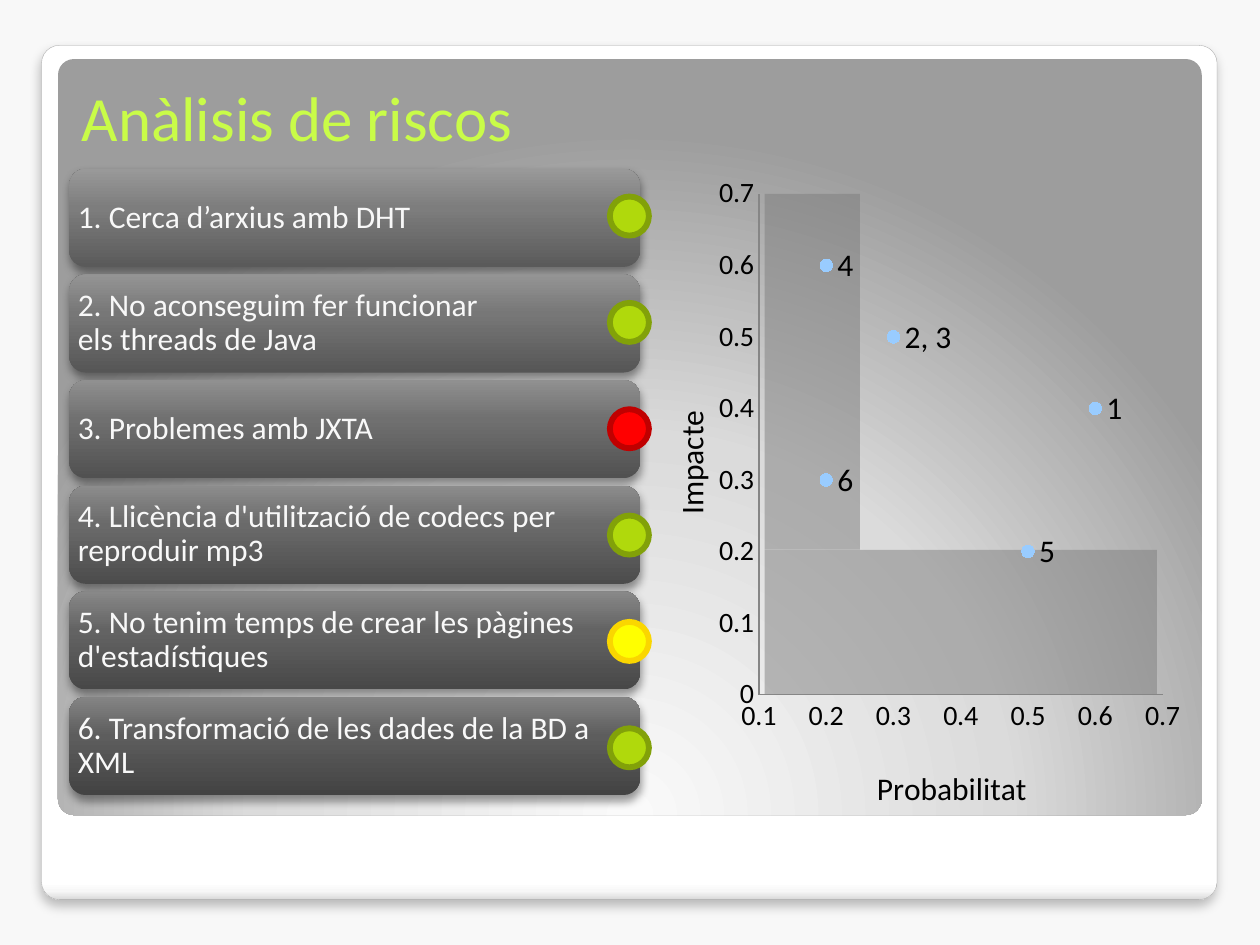
from lxml.etree import SubElement
from pptx import Presentation
from pptx.chart.data import XyChartData
from pptx.dml.color import RGBColor
from pptx.enum.chart import XL_CHART_TYPE, XL_LABEL_POSITION, XL_MARKER_STYLE, XL_TICK_MARK
from pptx.enum.shapes import MSO_SHAPE
from pptx.enum.text import MSO_ANCHOR, PP_ALIGN
from pptx.oxml import parse_xml
from pptx.oxml.ns import nsdecls, qn
from pptx.util import Inches, Pt

HUES = dict(back="F8F8F8", rim="A4A4A4", title="C9FC48", zone="7C7C7C", dot="99CCFF",
            axis="868686", ink="000000", text="F8F8F8")
LIGHTS = dict(green=("B0D90C", "82A109"), red=("FF0000", "C00000"), gold=("FFFF00", "FAD600"))
SHADES = ["5A5A5A 7D7D7D 999999", "565656 777777 949494", "515151 707070 909090",
          "4C4C4C 6A6A6A 8C8C8C", "484848 636363 888888", "434343 5D5D5D 848484"]
RISKS = [("1. Cerca d’arxius amb DHT", "green"),
         ("2. No aconseguim fer funcionar els\u00a0threads\u00a0de Java", "green"),
         ("3. Problemes amb JXTA", "red"),
         ("4. Llicència d'utilització de codecs per reproduir mp3", "green"),
         ("5. No tenim temps de crear les pàgines d'estadístiques", "gold"),
         ("6. Transformació de les dades de la BD a XML", "green")]
POINTS = [(0.6, 0.4, "1"), (0.3, 0.5, "2, 3"), (0.3, 0.5, ""),
          (0.2, 0.6, "4"), (0.5, 0.2, "5"), (0.2, 0.3, "6")]
COLS, ROWS = 100, 75
FACE = "Calibri"

deck = Presentation()
deck.slide_width, deck.slide_height = Inches(10), Inches(7.5)
slide = deck.slides.add_slide(deck.slide_layouts[5])


def dress(item, vals):
    for key, val in vals.items():
        setattr(item, key, val)


def ink(hue):
    return RGBColor.from_string(hue)


def write(font, size, hue):
    dress(font, dict(size=Pt(size), name=FACE))
    font.color.rgb = ink(hue)


def cells(box):
    x, y, w, h = box
    wide, high = deck.slide_width / COLS, deck.slide_height / ROWS
    return int(x * wide), int(y * high), int(w * wide), int(h * high)


def part(box, share):
    x, y, w, h = box
    a, b, c, d = share
    return x + a * w, y + b * h, c * w, d * h


def shape(kind, box, hue=None, line=None, width=1):
    form = slide.shapes.add_shape(kind, *cells(box))
    form.shadow.inherit = False
    if hue:
        form.fill.solid()
        form.fill.fore_color.rgb = ink(hue)
    else:
        form.fill.background()
    if line:
        form.line.color.rgb = ink(line)
        form.line.width = Pt(width)
    else:
        form.line.fill.background()
    return form


def blend(form, stops, way):
    marks = "".join(f'<a:gs pos="{pos * 1000}"><a:srgbClr val="{hue}"/></a:gs>' for pos, hue in stops)
    props = form._element.spPr
    props.replace(props.find(qn("a:noFill")), parse_xml(
        f'<a:gradFill {nsdecls("a")} rotWithShape="1"><a:gsLst>{marks}</a:gsLst>{way}</a:gradFill>'))


def linear(angle):
    return f'<a:lin ang="{angle * 60000}" scaled="0"/>'


def shade(list_, alpha, blur, gap):
    drop = SubElement(list_, qn("a:outerShdw"), blurRad=str(Pt(blur)), dist=str(Pt(gap)),
                      dir="5400000", algn="ctr", rotWithShape="0")
    tone = SubElement(drop, qn("a:srgbClr"), val=HUES["ink"])
    SubElement(tone, qn("a:alpha"), val=str(alpha * 1000))


def cast(form, alpha, blur, gap):
    shade(form._element.spPr.find(qn("a:effectLst")), alpha, blur, gap)


def frame(box):
    card = shape(MSO_SHAPE.ROUNDED_RECTANGLE, box, line=HUES["rim"], width=0.16)
    blend(card, [(0, "FFFFFF"), (98, "FFFFFF"), (99, "F7F7F7"), (100, "DADADA")], linear(90))
    cast(card, 25, 6, 4)
    glow = shape(MSO_SHAPE.ROUNDED_RECTANGLE, part(box, (0.014, 0.016, 0.973, 0.885)))
    blend(glow, [(0, "FAFAFA"), (55, "DBDBDB"), (100, "9D9D9D")],
          '<a:path path="circle"><a:fillToRect l="50000" t="175000" r="50000" b="-75000"/></a:path>')
    for form in (card, glow):
        form.adjustments[0] = 0.021


def heading(box, text):
    title = slide.shapes.title
    dress(title, dict(zip(("left", "top", "width", "height"), cells(box))))
    slide.shapes._spTree.append(title._element)
    title.text_frame.text = text
    title.text_frame.vertical_anchor = MSO_ANCHOR.TOP
    para = title.text_frame.paragraphs[0]
    para.alignment = PP_ALIGN.LEFT
    write(para.runs[0].font, 36, HUES["title"])
    glow = parse_xml(f'<a:effectLst {nsdecls("a")}/>')
    shade(glow, 50, 4, 3)
    para.runs[0]._r.rPr.find(qn("a:solidFill")).addnext(glow)


def risks(box):
    x, y, w, h = box
    gap, step, size = 0.6, 8.44, 3.1
    pitch = (h + gap) / len(RISKS)
    for row, ((text, light), tones) in enumerate(zip(RISKS, SHADES)):
        card = shape(MSO_SHAPE.ROUNDED_RECTANGLE, (x, y + row * pitch, w, pitch - gap))
        blend(card, zip((0, 60, 100), tones.split()), linear(270))
        cast(card, 40, 5.2, 3)
        body = card.text_frame
        dress(body, dict(text=text, word_wrap=True, vertical_anchor=MSO_ANCHOR.MIDDLE,
                         margin_left=Inches(0.03), margin_right=Inches(0.03),
                         margin_top=Inches(0.03), margin_bottom=Inches(0.03)))
        para = body.paragraphs[0]
        dress(para, dict(alignment=PP_ALIGN.LEFT, line_spacing=0.9))
        write(para.runs[0].font, 18, HUES["text"])
    for row, (text, light) in enumerate(RISKS):
        spot = (x + w - 2.4, y + 2.2 + row * step, size, size)
        shape(MSO_SHAPE.OVAL, spot, *LIGHTS[light], 3.35)


def layout(node, slot, kind, **spots):
    for old in node.findall(qn("c:layout")):
        node.remove(old)
    inner = '<c:layoutTarget val="inner"/>' if kind == "plot" else ""
    modes = '<c:xMode val="edge"/><c:yMode val="edge"/>'
    sides = "".join(f'<c:{key} val="{val}"/>' for key, val in spots.items())
    node.insert(slot, parse_xml(f'<c:layout {nsdecls("c")}><c:manualLayout>{inner}{modes}{sides}'
                                '</c:manualLayout></c:layout>'))


def scale(axis, low, name, turn, x, y):
    dress(axis, dict(minimum_scale=low, maximum_scale=0.7, major_unit=0.1,
                     has_major_gridlines=False, major_tick_mark=XL_TICK_MARK.NONE,
                     minor_tick_mark=XL_TICK_MARK.NONE))
    dress(axis.tick_labels, dict(number_format="General", number_format_is_linked=False))
    write(axis.tick_labels.font, 16, HUES["ink"])
    axis.format.line.color.rgb = ink(HUES["axis"])
    body = axis.axis_title.text_frame
    body.text = name
    body._txBody.bodyPr.set("rot", str(turn * 60000))
    font = body.paragraphs[0].runs[0].font
    write(font, 18, HUES["ink"])
    font.bold = False
    layout(axis.axis_title._element, 1, "title", x=x, y=y)


def matrix(box):
    for share in ((0.24, 0.58, 0.7, 0.22), (0.24, 0.04, 0.17, 0.54)):
        zone = shape(MSO_SHAPE.RECTANGLE, part(box, share), HUES["zone"])
        tone = zone._element.spPr.find(qn("a:solidFill"))[0]
        SubElement(tone, qn("a:alpha"), val="49000")
    data = XyChartData()
    line = data.add_series("Series 1")
    for x, y, name in POINTS:
        line.add_data_point(x, y)
    chart = slide.shapes.add_chart(XL_CHART_TYPE.XY_SCATTER, *cells(box), data).chart
    dress(chart, dict(has_legend=False, has_title=False))
    write(chart.font, 10, HUES["ink"])
    root = chart._chartSpace.find(qn("c:chart"))
    root.addnext(parse_xml(f'<c:spPr {nsdecls("c", "a")}><a:noFill/><a:ln><a:noFill/></a:ln></c:spPr>'))
    layout(root.find(qn("c:plotArea")), 0, "plot", x=0.23, y=0.04, w=0.72, h=0.76)
    scale(chart.category_axis, 0.1, "Probabilitat", 0, 0.43, 0.9)
    scale(chart.value_axis, 0, "Impacte", -90, 0.06, 0.36)
    chart.plots[0].vary_by_categories = False
    dots = chart.plots[0].series[0]
    dots.format.line.fill.background()
    dress(dots.marker, dict(style=XL_MARKER_STYLE.CIRCLE, size=7))
    dots.marker.format.fill.solid()
    dots.marker.format.fill.fore_color.rgb = ink(HUES["dot"])
    dots.marker.format.line.fill.background()
    for spot, (x, y, name) in enumerate(POINTS):
        if name:
            label = dots.points[spot].data_label
            label.text_frame.text = name
            write(label.text_frame.paragraphs[0].runs[0].font, 18, HUES["ink"])
            label.position = XL_LABEL_POSITION.RIGHT


slide.background.fill.solid()
slide.background.fill.fore_color.rgb = ink(HUES["back"])
frame((3.3, 3.6, 93.3, 67.8))
heading((5.5, 5.7, 89.5, 11.5), "Anàlisis de riscos")
matrix((50, 13.3, 44.5, 52.3))
risks((5.5, 13.4, 45.3, 49.7))
deck.save("out.pptx")
